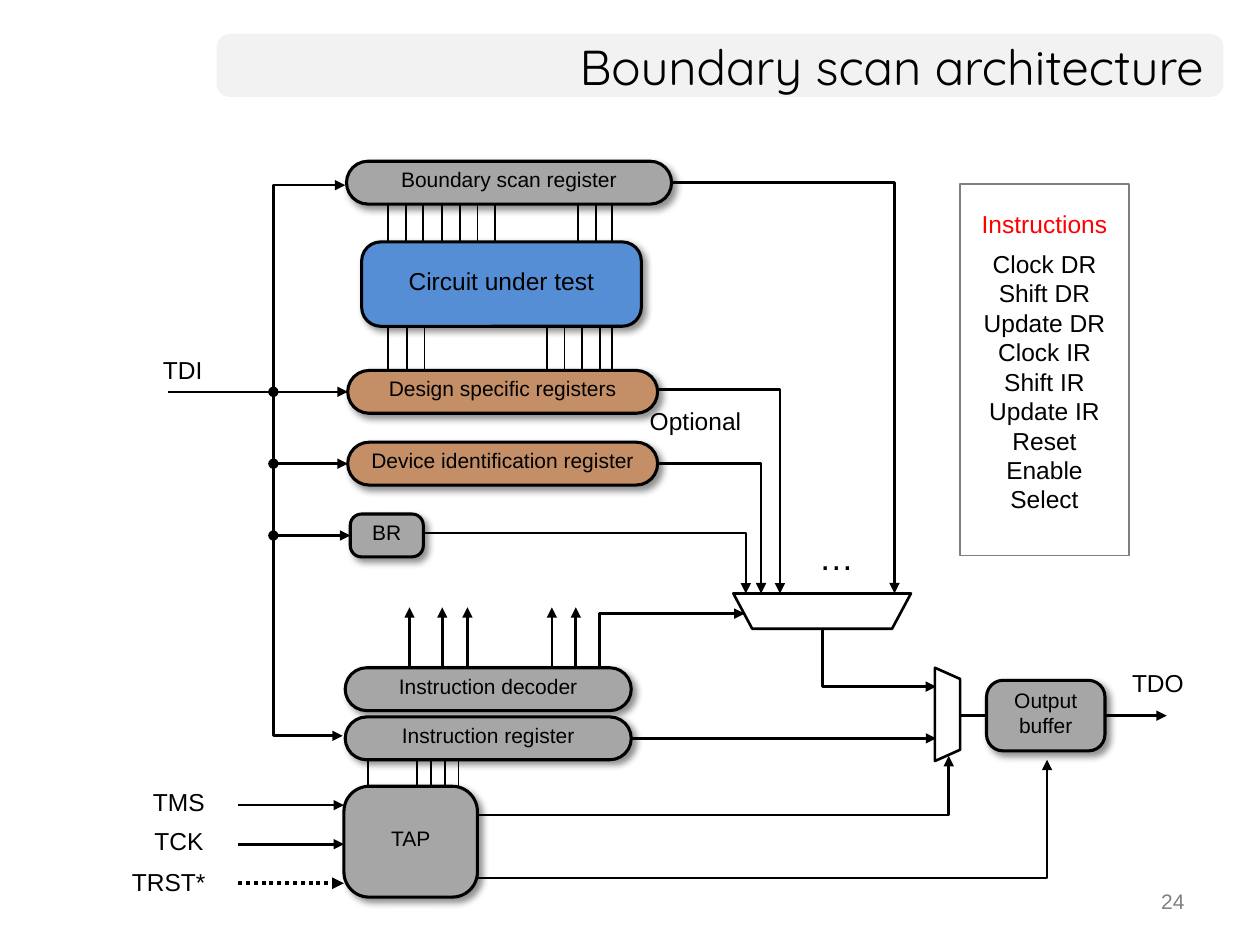
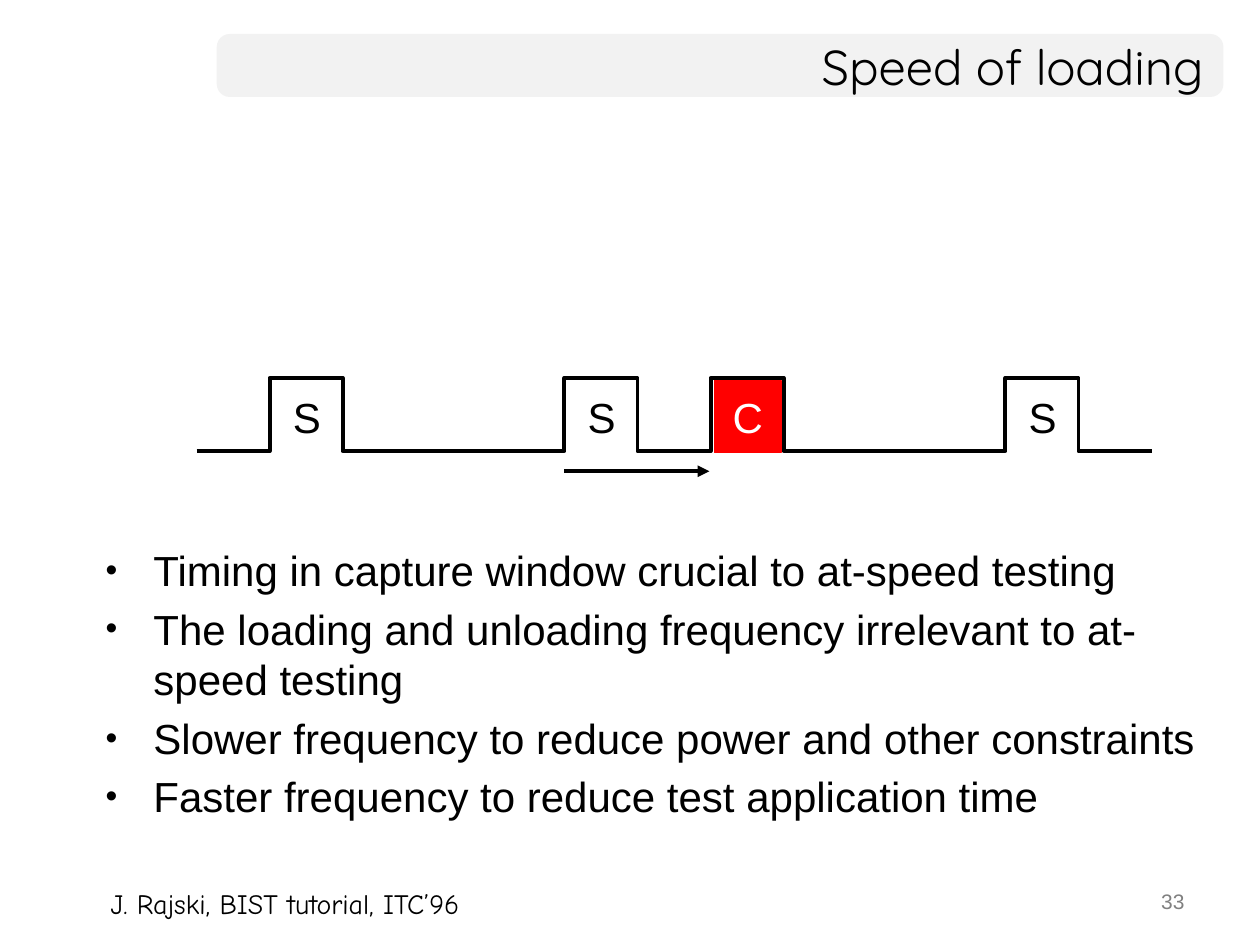
from pptx import Presentation
from pptx.dml.color import RGBColor
from pptx.enum.dml import MSO_LINE
from pptx.enum.shapes import MSO_CONNECTOR, MSO_SHAPE
from pptx.enum.text import MSO_ANCHOR, PP_ALIGN
from pptx.oxml.ns import qn
from pptx.util import Pt
from lxml import etree

PX = 9144
LEFT, CENTER, RIGHT = PP_ALIGN.LEFT, PP_ALIGN.CENTER, PP_ALIGN.RIGHT
TOP, MIDDLE = MSO_ANCHOR.TOP, MSO_ANCHOR.MIDDLE
STRAIGHT = MSO_CONNECTOR.STRAIGHT
DOTTED = MSO_LINE.ROUND_DOT
RECTANGLE, ROUNDED = MSO_SHAPE.RECTANGLE, MSO_SHAPE.ROUNDED_RECTANGLE
TRAPEZOID = MSO_SHAPE.TRAPEZOID
LEFT_SIDE, RIGHT_SIDE = 1, 3

BODY_FONT, TITLE_FONT, NOTE_FONT = "Arial", "Quicksand", "Comic Neue"
BLACK, WHITE, RED = "000000", "FFFFFF", "FF0000"
BAND, NUMBER_GRAY, FRAME_GRAY = "F2F2F2", "808080", "7F7F7F"
GRAY, BLUE, BROWN = "A6A6A6", "558ED5", "C48E66"


def color(value):
    return RGBColor.from_string(value)


def px(*lengths):
    return [round(length * PX) for length in lengths]


def add_child(parent, tag, **attributes):
    return etree.SubElement(parent, qn(tag), {k: str(v) for k, v in attributes.items()})


def write(paragraph, text, size, text_color=BLACK, font=BODY_FONT, align=LEFT):
    paragraph.alignment = align
    run = paragraph.add_run()
    run.text = text
    run.font.size = Pt(size)
    run.font.name = font
    run.font.color.rgb = color(text_color)


def fill_text(shape, lines, size, text_color=BLACK, font=BODY_FONT,
              align=CENTER, anchor=MIDDLE, wrap=True):
    frame = shape.text_frame
    frame.word_wrap = wrap
    frame.vertical_anchor = anchor
    for index, line in enumerate(lines):
        paragraph = frame.add_paragraph() if index else frame.paragraphs[0]
        write(paragraph, line, size, text_color, font, align)
    return frame


def add_text(slide, box, text, size, **style):
    shape = slide.shapes.add_textbox(*px(*box))
    return fill_text(shape, [text], size, **style)


def add_label(slide, box, text, size=14, **style):
    return add_text(slide, box, text, size, wrap=False, **style)


def style_line(shape, width, line_color=BLACK, head=None, tail=None, dash=None):
    shape.line.color.rgb = color(line_color)
    shape.line.width = Pt(width)
    if dash:
        shape.line.dash_style = dash
    outline = shape._element.spPr.find(qn("a:ln"))
    for tag, kind in (("a:headEnd", head), ("a:tailEnd", tail)):
        if kind:
            add_child(outline, tag, type=kind)


def add_shape(slide, kind, box, fill, line_color=None, width=1.5, adjust=None):
    shape = slide.shapes.add_shape(kind, *px(*box))
    shape.shadow.inherit = False
    shape.fill.solid()
    shape.fill.fore_color.rgb = color(fill)
    if line_color:
        style_line(shape, width, line_color)
    else:
        shape.line.fill.background()
    if adjust is not None:
        shape.adjustments[0] = adjust
    return shape


def add_block(slide, box, text, fill=GRAY, adjust=0.5, size=12):
    block = add_shape(slide, ROUNDED, box, fill, BLACK, 1.75, adjust)
    effects = block._element.spPr.find(qn("a:effectLst"))
    shadow = add_child(effects, "a:outerShdw", blurRad=Pt(4), dist=Pt(3),
                       dir=45 * 60000, algn="tl", rotWithShape=0)
    add_child(add_child(shadow, "a:srgbClr", val=BLACK), "a:alpha", val=43000)
    frame = fill_text(block, text.split("\n"), size)
    frame.margin_bottom = px(10)[0]
    return block


def add_line(slide, start, end, width=1.5, source=None, target=None, **style):
    connector = slide.shapes.add_connector(STRAIGHT, *px(*start, *end))
    if source:
        connector.begin_connect(source, RIGHT_SIDE)
    if target:
        connector.end_connect(target, LEFT_SIDE)
    style_line(connector, width, **style)
    add_child(connector._element.spPr, "a:effectLst")


def add_outline(slide, points, width=1.5, fill=None, **style):
    builder = slide.shapes.build_freeform(*points[0], scale=PX)
    builder.add_line_segments(points[1:], close=bool(fill))
    shape = builder.convert_to_shape()
    shape.shadow.inherit = False
    if fill:
        shape.fill.solid()
        shape.fill.fore_color.rgb = color(fill)
    else:
        shape.fill.background()
    style_line(shape, width, **style)


def add_pins(slide, columns, top, bottom):
    for x in columns:
        add_line(slide, (x, top), (x, bottom), 1)


def add_base(presentation, title, number):
    slide = presentation.slides.add_slide(presentation.slide_layouts[6])
    add_shape(slide, ROUNDED, (172, 27, 799, 50), BAND, adjust=0.208)
    add_text(slide, (717, 700, 233, 35), number, 12, text_color=NUMBER_GRAY,
             align=RIGHT, anchor=TOP)
    add_text(slide, (172, 27, 793, 50), title, 28, font=TITLE_FONT, align=RIGHT)
    return slide


def add_instructions(slide):
    panel = add_shape(slide, RECTANGLE, (762, 146, 134, 295), WHITE, FRAME_GRAY, 0.75)
    fill_color = panel._element.spPr.find(qn("a:solidFill"))[0]
    add_child(fill_color, "a:alpha", val=75000)
    names = ["Clock DR", "Shift DR", "Update DR", "Clock IR", "Shift IR",
             "Update IR", "Reset", "Enable", "Select"]
    frame = fill_text(panel, ["Instructions"] + names, 14, anchor=TOP)
    frame.margin_top, frame.margin_bottom = px(20, 0)
    heading = frame.paragraphs[0]
    heading.space_after = Pt(6)
    heading.runs[0].font.color.rgb = color(RED)


def build_architecture(presentation):
    slide = add_base(presentation, "Boundary scan architecture", "24")

    add_pins(slide, [308, 322, 336, 351, 365, 379, 393, 459, 473, 486], 160, 194)
    add_pins(slide, [308, 323, 337, 434, 448, 462, 476, 486], 257, 296)
    add_pins(slide, [292, 331, 342, 353, 364], 601, 626)
    for x in (325, 351, 371, 438, 457):
        add_line(slide, (x, 532), (x, 482), tail="triangle")

    routes = [
        [(379, 697), (831, 697), (831, 603)],
        [(379, 647), (753, 647), (753, 600)],
        [(476, 532), (476, 487), (591, 487)],
        [(653, 499), (653, 545), (743, 545)],
        [(336, 423), (592, 423), (592, 471)],
        [(522, 368), (604, 368), (604, 471)],
        [(522, 309), (619, 309), (619, 471)],
        [(533, 145), (710, 145), (710, 471)],
    ]
    for route in routes:
        add_outline(slide, route, tail="triangle")
    add_outline(slide, [(582, 471), (597, 499), (708, 499), (723, 471)], fill=WHITE)
    add_outline(slide, [(272, 584), (217, 584), (217, 147), (274, 147)],
                head="triangle", tail="triangle")

    add_block(slide, (274, 530, 227, 34), "Instruction decoder")
    instruction_register = add_block(slide, (274, 569, 227, 34), "Instruction register")
    add_block(slide, (287, 192, 222, 67), "Circuit under test", BLUE, 0.227, 14)
    add_block(slide, (275, 128, 258, 34), "Boundary scan register")
    output_buffer = add_block(slide, (783, 540, 94, 56), "Output\nbuffer", adjust=0.234)
    design = add_block(slide, (276, 294, 246, 34), "Design specific registers", BROWN)
    device = add_block(slide, (276, 351, 246, 34), "Device identification register", BROWN)
    bypass = add_block(slide, (278, 408, 58, 34), "BR", adjust=0.262)
    add_block(slide, (273, 624, 106, 88), "TAP", adjust=0.227)

    for y, register in ((311, design), (368, device), (425, bypass)):
        add_line(slide, (217, y), (276, y), target=register, head="oval", tail="triangle")
    add_line(slide, (133, 311), (217, 311))
    add_line(slide, (501, 586), (743, 586), source=instruction_register, tail="triangle")
    add_line(slide, (762, 568), (783, 568), target=output_buffer)
    add_line(slide, (877, 568), (926, 568), source=output_buffer, tail="triangle")
    for y, width, dash in ((639, 1.5, None), (670, 1.5, None), (701, 2.25, DOTTED)):
        add_line(slide, (189, y), (273, y), width, tail="triangle", dash=dash)

    output_mux = add_shape(slide, TRAPEZOID, (715, 557, 74, 20), WHITE, BLACK, adjust=0.446)
    output_mux.rotation = 90
    add_instructions(slide)

    add_label(slide, (110, 277, 70, 33), "TDI")
    add_label(slide, (84, 683, 100, 33), "TRST*")
    add_label(slide, (107, 651, 70, 33), "TCK")
    add_label(slide, (107, 620, 70, 33), "TMS")
    add_label(slide, (884, 525, 70, 33), "TDO")
    add_label(slide, (497, 318, 110, 32), "Optional")
    add_label(slide, (640, 420, 48, 43), "…", 20, align=LEFT, anchor=TOP)


def add_bullets(slide, box, lines):
    shape = slide.shapes.add_textbox(*px(*box))
    frame = fill_text(shape, lines, 24, align=LEFT, anchor=TOP)
    indent = px(38)[0]
    for index, paragraph in enumerate(frame.paragraphs):
        properties = paragraph._p.get_or_add_pPr()
        properties.set("marL", str(indent))
        properties.set("indent", str(-indent))
        add_child(properties, "a:buSzPct", val=80000)
        add_child(properties, "a:buFont", typeface=BODY_FONT)
        add_child(properties, "a:buChar", char="•")
        if index:
            paragraph.space_before = Pt(4.8)


def build_loading(presentation):
    slide = add_base(presentation, "Speed of loading", "33")
    add_bullets(slide, (74, 427, 900, 261), [
        "Timing in capture window crucial to at-speed testing",
        "The loading and unloading frequency irrelevant to at-speed testing",
        "Slower frequency to reduce power and other constraints",
        "Faster frequency to reduce test application time",
    ])

    low, high, pulse_width = 358, 300, 58
    pulses = [(214, "S"), (448, "S"), (564, "C"), (798, "S")]
    waveform = [(156, low)]
    for left, _ in pulses:
        right = left + pulse_width
        waveform += [(left, low), (left, high), (right, high), (right, low)]
    add_outline(slide, waveform + [(914, low)], 2.25)

    for left, letter in pulses:
        box = (left + 3, 302, 53, 57)
        if letter == "C":
            capture = add_shape(slide, RECTANGLE, box, RED, RED, 0.75)
            fill_text(capture, [letter], 24, WHITE, wrap=False)
        else:
            add_label(slide, box, letter, 24)
    add_line(slide, (448, 374), (563, 374), 2.25, tail="triangle")
    add_label(slide, (78, 699, 353, 37), "J. Rajski, BIST tutorial, ITC’96", 16,
              font=NOTE_FONT, align=LEFT, anchor=TOP)


def main():
    presentation = Presentation()
    presentation.slide_width, presentation.slide_height = px(1000, 750)
    build_architecture(presentation)
    build_loading(presentation)
    presentation.save("out.pptx")


if __name__ == "__main__":
    main()
